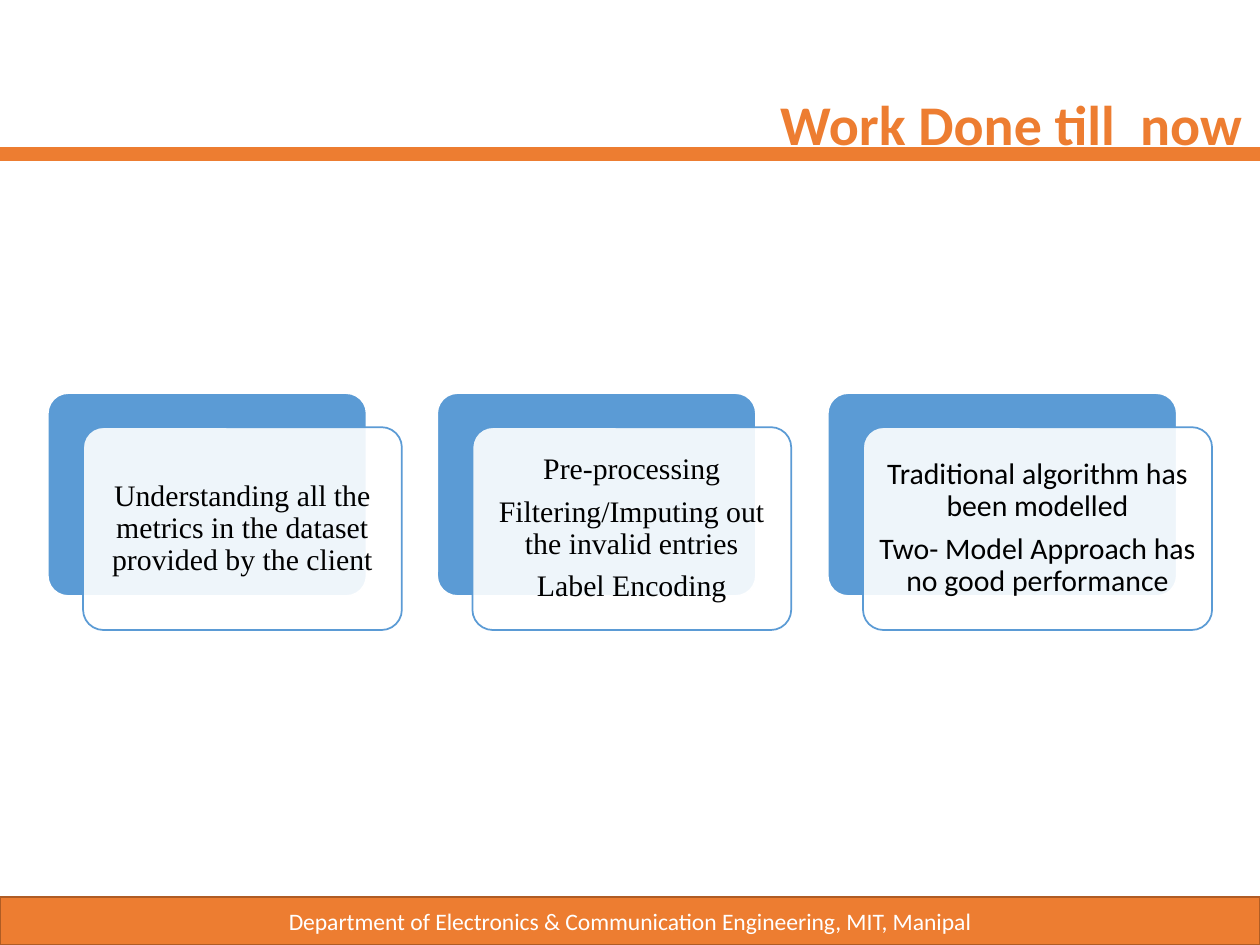
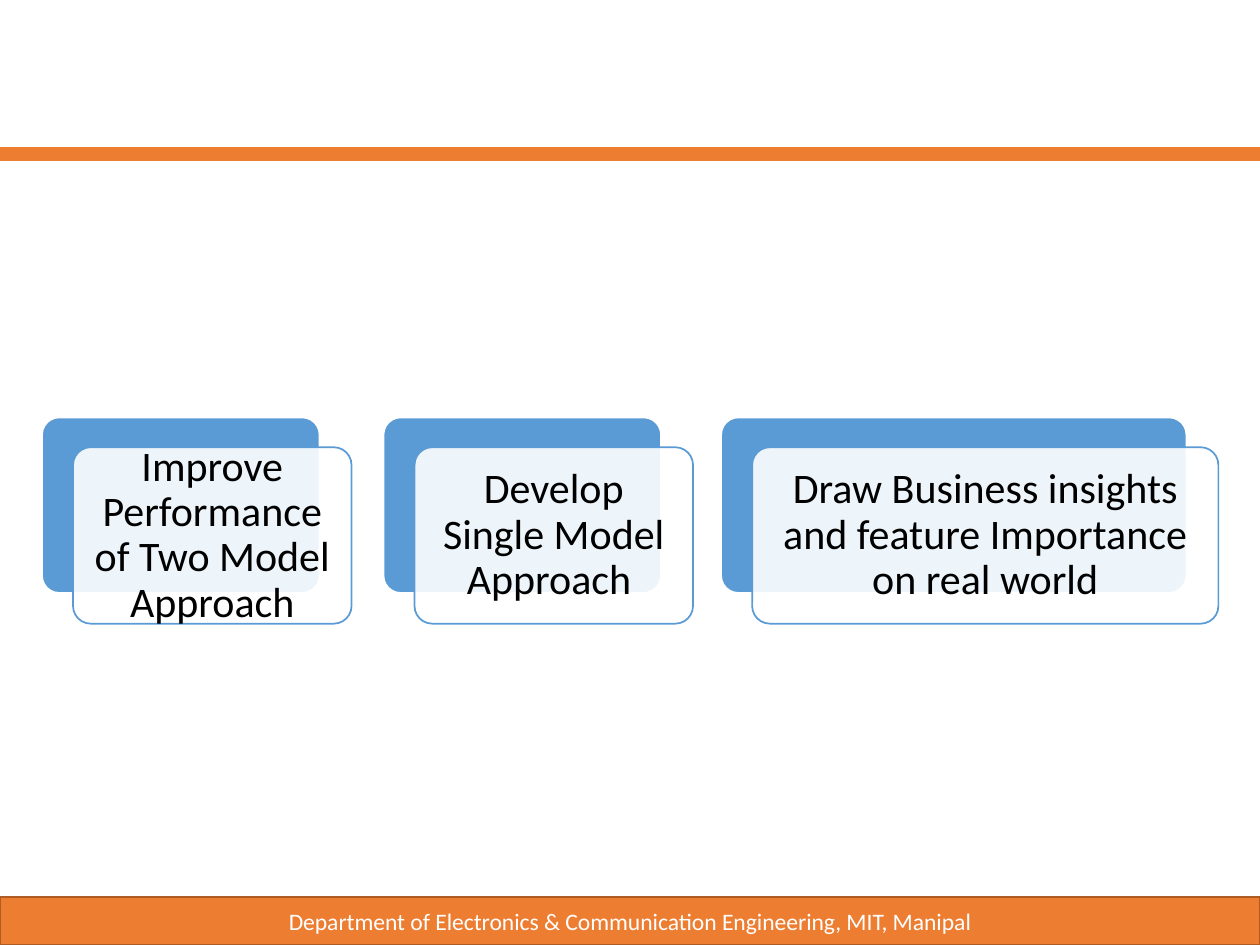
from pptx import Presentation
from pptx.dml.color import RGBColor
from pptx.enum.shapes import MSO_CONNECTOR, MSO_SHAPE
from pptx.enum.text import MSO_ANCHOR, PP_ALIGN
from pptx.oxml.ns import qn
from pptx.util import Inches, Pt
from lxml import etree

RECT, ROUND = MSO_SHAPE.RECTANGLE, MSO_SHAPE.ROUNDED_RECTANGLE
STRAIGHT = MSO_CONNECTOR.STRAIGHT
TOP, MIDDLE = MSO_ANCHOR.TOP, MSO_ANCHOR.MIDDLE
CENTER, RIGHT = PP_ALIGN.CENTER, PP_ALIGN.RIGHT

COLORS = {"accent": "ED7D31", "edge": "AF5C24", "blue": "5B9BD5",
          "white": "FFFFFF", "black": "000000"}
SANS, SERIF = "Calibri", "Times New Roman"
WIDTH, HEIGHT = 10, 7.5
FOOTER = "Department of Electronics & Communication Engineering, MIT, Manipal"


def color(name):
    return RGBColor.from_string(COLORS[name])


def write(shape, lines, size=17, font=SANS, ink="black", bold=False,
          align=CENTER, anchor=MIDDLE, inset=None, spacing=None, gap=0):
    """Fill a shape with one paragraph per line; gap separates paragraphs."""
    frame = shape.text_frame
    frame.word_wrap = True
    frame.vertical_anchor = anchor
    if inset is not None:
        frame.margin_left = frame.margin_right = Inches(inset)
        frame.margin_top = frame.margin_bottom = Inches(inset)
    for i, line in enumerate(lines):
        para = frame.paragraphs[0] if i == 0 else frame.add_paragraph()
        para.alignment = align
        if spacing:
            para.line_spacing = spacing
        if i:
            para.space_before = Pt(gap)
        run = para.add_run()
        run.text = line
        run.font.name, run.font.size, run.font.bold = font, Pt(size), bold
        run.font.color.rgb = color(ink)


def box(slide, kind, left, top, width, height, fill, edge, weight=1, alpha=None):
    shape = slide.shapes.add_shape(
        kind, Inches(left), Inches(top), Inches(width), Inches(height))
    shape.shadow.inherit = False
    shape.fill.solid()
    shape.fill.fore_color.rgb = color(fill)
    shape.line.color.rgb = color(edge)
    shape.line.width = Pt(weight)
    if kind == ROUND:
        shape.adjustments[0] = 0.1
    if alpha:
        tint = shape.fill._xPr.find(qn("a:solidFill"))[0]
        etree.SubElement(tint, qn("a:alpha")).set("val", str(alpha * 1000))
    return shape


def rule(slide, y):
    line = slide.shapes.add_connector(
        STRAIGHT, Inches(0), Inches(y), Inches(WIDTH), Inches(y))
    line.line.color.rgb = color("accent")
    line.line.width = Pt(8)
    etree.SubElement(line._element.spPr, qn("a:effectLst"))


def page(deck):
    """Add a blank slide with the shared rule and footer band."""
    slide = deck.slides.add_slide(deck.slide_layouts[6])
    rule(slide, 1.22)
    band = box(slide, RECT, 0, 7.12, WIDTH, 0.38, "accent", "edge")
    write(band, [FOOTER], size=13.5, ink="white")
    return slide


def title(slide, text):
    label = slide.shapes.add_textbox(
        Inches(3.19), Inches(0.66), Inches(6.77), Inches(0.48))
    write(label, [text], size=32, ink="accent", bold=True,
          align=RIGHT, anchor=TOP)


def cards(slide, items, top, height, dx, dy, size, inset, weight):
    """Draw a row of cards, each a clear panel shifted over a blue one."""
    for left, width, font, lines in items:
        box(slide, ROUND, left, top, width, height, "blue", "white", weight)
        panel = box(slide, ROUND, left + dx, top + dy, width, height,
                    "white", "blue", alpha=90)
        write(panel, lines, size=size, font=font, inset=inset,
              spacing=0.9, gap=6)


def main():
    deck = Presentation()
    deck.slide_width, deck.slide_height = Inches(WIDTH), Inches(HEIGHT)

    # Work done so far
    done = page(deck)
    cards(done, [
        (0.38, 2.53, SERIF,
         ["Understanding all the metrics in the dataset provided by the client"]),
        (3.47, 2.53, SERIF,
         ["Pre-processing", "Filtering/Imputing out the invalid entries",
          "Label Encoding"]),
        (6.57, 2.77, SANS,
         ["Traditional algorithm has been modelled",
          "Two- Model Approach has no good performance"]),
    ], top=3.12, height=1.61, dx=0.28, dy=0.27, size=17, inset=0.07, weight=1)
    title(done, "Work Done till  now")

    # Next steps
    plan = page(deck)
    cards(plan, [
        (0.33, 2.21, SANS, ["Improve Performance of Two Model Approach"]),
        (3.04, 2.21, SANS, ["Develop Single Model Approach "]),
        (5.72, 3.7, SANS,
         ["Draw Business insights and feature Importance on real world"]),
    ], top=3.31, height=1.4, dx=0.25, dy=0.24, size=24, inset=0.1, weight=1.5)

    deck.save("out.pptx")


if __name__ == "__main__":
    main()
